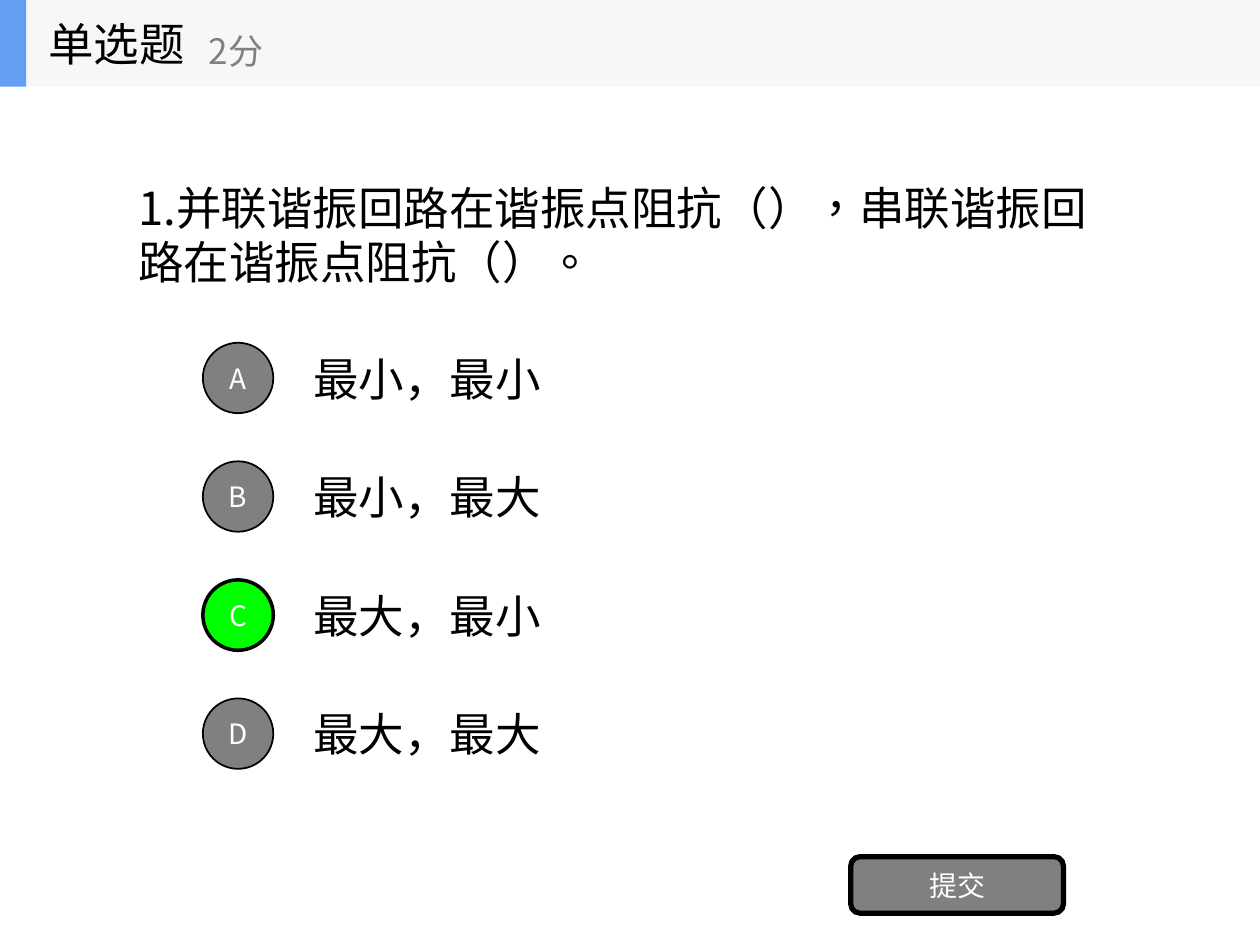
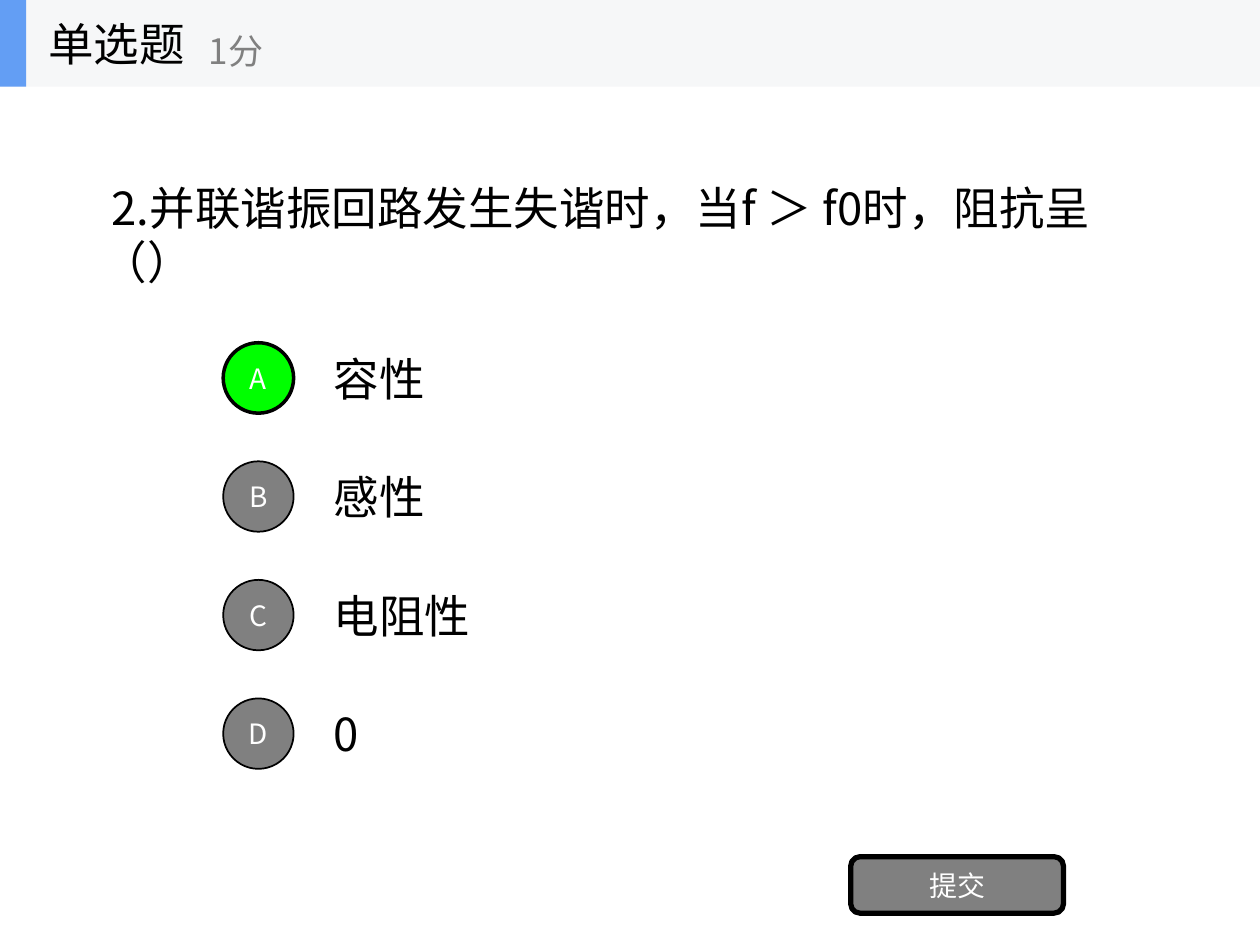
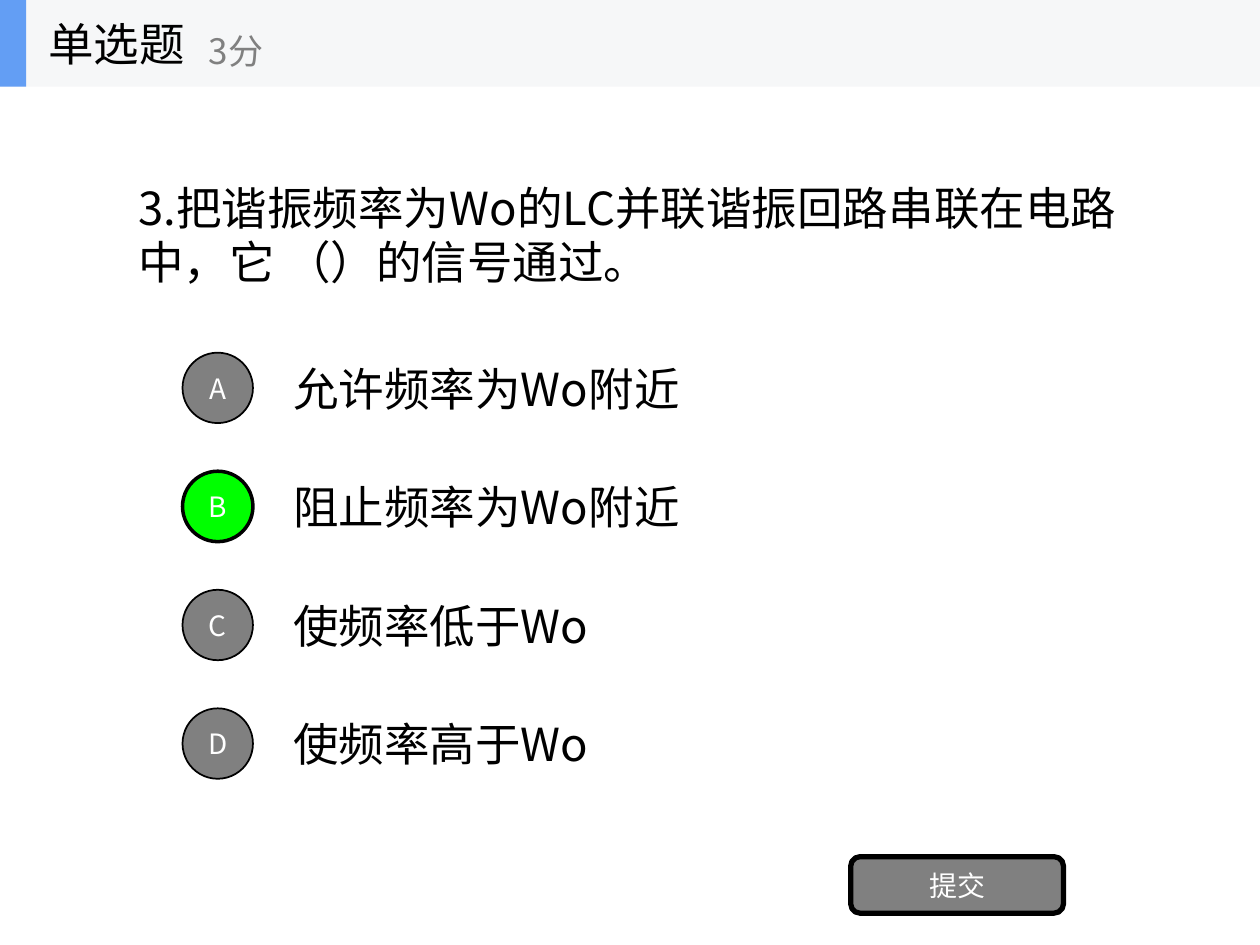
from dataclasses import dataclass
from typing import Any, Optional

from lxml.etree import SubElement
from pptx import Presentation
from pptx.dml.color import RGBColor
from pptx.enum.shapes import MSO_SHAPE as Shape
from pptx.enum.text import MSO_ANCHOR as Anchor, PP_ALIGN as Align
from pptx.oxml.ns import qn
from pptx.util import Cm, Pt

BLACK = RGBColor(0x00, 0x00, 0x00)
WHITE = RGBColor(0xFF, 0xFF, 0xFF)
GREY = RGBColor(0x80, 0x80, 0x80)
GREEN = RGBColor(0x00, 0xFF, 0x00)
BAND = RGBColor(0xF6, 0xF7, 0xF8)
ACCENT = RGBColor(0x63, 0x9E, 0xF4)

FONT = "Noto Sans CJK SC"
SLIDE_W, SLIDE_H = 25.4, 19.05
BAND_H = 1.75
DOT = 1.42
ROW_PITCH = 2.39
OPTION_DX, OPTION_DY = 1.98, -0.18
OPTION_W, OPTION_H = 17.78, 1.78

BODY_MARGINS = {"margin_left": Cm(0.25), "margin_right": Cm(0.25),
                "margin_top": Cm(0.13), "margin_bottom": Cm(0.13)}
NO_MARGINS = dict.fromkeys(BODY_MARGINS, 0)


@dataclass(frozen=True)
class Box:
    """Position and size in centimetres."""
    x: float
    y: float
    w: float
    h: float

    def lengths(self) -> tuple:
        """Return the four values as lengths."""
        return Cm(self.x), Cm(self.y), Cm(self.w), Cm(self.h)


@dataclass(frozen=True)
class TextStyle:
    """Look of a single line or block of text."""
    size: int
    color: RGBColor
    align: Any = Align.LEFT
    lang: str = "zh-CN"
    indent: float = 0


@dataclass(frozen=True)
class Question:
    """One multiple-choice question and its layout."""
    points: int
    text: str
    options: tuple[str, ...]
    answer: str
    dot_x: float
    dot_y: float = 6.91
    box: Box = Box(2.54, BAND_H, 20.32, 5.94)
    style: TextStyle = TextStyle(26, BLACK)


BODY = TextStyle(26, BLACK)
POINTS = TextStyle(20, GREY)
LABEL = TextStyle(16, WHITE, Align.CENTER)

QUESTIONS = (
    Question(2, "1.并联谐振回路在谐振点阻抗（），串联谐振回路在谐振点阻抗（）。",
             ("最小，最小", "最小，最大", "最大，最小", "最大，最大"), "C", 4.09,
             style=TextStyle(26, BLACK, lang="zh-TW")),
    Question(1, "2.并联谐振回路发生失谐时，当f ＞ f0时，阻抗呈（）",
             ("容性", "感性", "电阻性", "0"), "A", 4.5,
             box=Box(1.8, BAND_H, 21.95, 5.94),
             style=TextStyle(26, BLACK, indent=0.2)),
    Question(3, "3.把谐振频率为Wo的LC并联谐振回路串联在电路中，它 （）的信号通过。",
             ("允许频率为Wo附近", "阻止频率为Wo附近", "使频率低于Wo", "使频率高于Wo"),
             "B", 3.68, 7.11),
)


def set_all(target: Any, values: dict[str, Any]) -> None:
    """Set every named attribute on the target."""
    for name, value in values.items():
        setattr(target, name, value)


def write(sp: Any, text: str, style: TextStyle, margins: dict[str, int]) -> None:
    """Put styled text in a shape."""
    tf = sp.text_frame
    set_all(tf, {"word_wrap": True, "vertical_anchor": Anchor.MIDDLE, **margins})
    p = tf.paragraphs[0]
    p.alignment = style.align
    if style.indent:
        p._p.get_or_add_pPr().set("indent", str(Cm(style.indent)))
    r = p.add_run()
    r.text = text
    set_all(r.font, {"size": Pt(style.size), "name": FONT})
    r.font.color.rgb = style.color
    props = r._r.get_or_add_rPr()
    props.set("lang", style.lang)
    SubElement(props, qn("a:ea")).set("typeface", FONT)


def add_text(shapes: Any, box: Box, text: str, style: TextStyle) -> None:
    """Add a text box."""
    write(shapes.add_textbox(*box.lengths()), text, style, BODY_MARGINS)


def add_block(shapes: Any, kind: Any, box: Box, fill: RGBColor,
              line: Optional[float] = None, label: str = "") -> None:
    """Add a filled shape with an optional outline and label."""
    sp = shapes.add_shape(kind, *box.lengths())
    sp.shadow.inherit = False
    sp.fill.solid()
    sp.fill.fore_color.rgb = fill
    if line is None:
        sp.line.fill.background()
    else:
        sp.line.color.rgb = BLACK
        sp.line.width = Pt(line)
    if label:
        write(sp, label, LABEL, NO_MARGINS)


def add_header(s: Any, points: int) -> None:
    """Add the grouped title band."""
    shapes = s.shapes.add_group_shape().shapes
    add_block(shapes, Shape.RECTANGLE, Box(0, 0, SLIDE_W, BAND_H), BAND)
    add_block(shapes, Shape.RECTANGLE, Box(0, 0, 0.53, BAND_H), ACCENT)
    add_text(shapes, Box(0.72, 0, 5.28, BAND_H), "单选题", BODY)
    add_text(shapes, Box(3.96, 0.31, 6.35, 1.42), f"{points}分", POINTS)


def add_options(s: Any, q: Question) -> None:
    """Add the lettered options, with the answer marked."""
    for i, (letter, option) in enumerate(zip("ABCD", q.options)):
        y = q.dot_y + i * ROW_PITCH
        fill, line = (GREEN, 2) if letter == q.answer else (GREY, 1)
        add_text(s.shapes, Box(q.dot_x + OPTION_DX, y + OPTION_DY, OPTION_W, OPTION_H),
                 option, BODY)
        add_block(s.shapes, Shape.OVAL, Box(q.dot_x, y, DOT, DOT), fill, line, letter)


def add_question(prs: Any, q: Question) -> None:
    """Add one question slide."""
    s = prs.slides.add_slide(prs.slide_layouts[6])
    add_text(s.shapes, q.box, q.text, q.style)
    add_options(s, q)
    add_block(s.shapes, Shape.ROUNDED_RECTANGLE, Box(17.15, 17.27, 4.29, 1.14),
              GREY, 3, "提交")
    add_header(s, q.points)


def main() -> None:
    """Build and save the quiz."""
    prs = Presentation()
    set_all(prs, {"slide_width": Cm(SLIDE_W), "slide_height": Cm(SLIDE_H)})
    for q in QUESTIONS:
        add_question(prs, q)
    prs.save("out.pptx")


if __name__ == "__main__":
    main()
